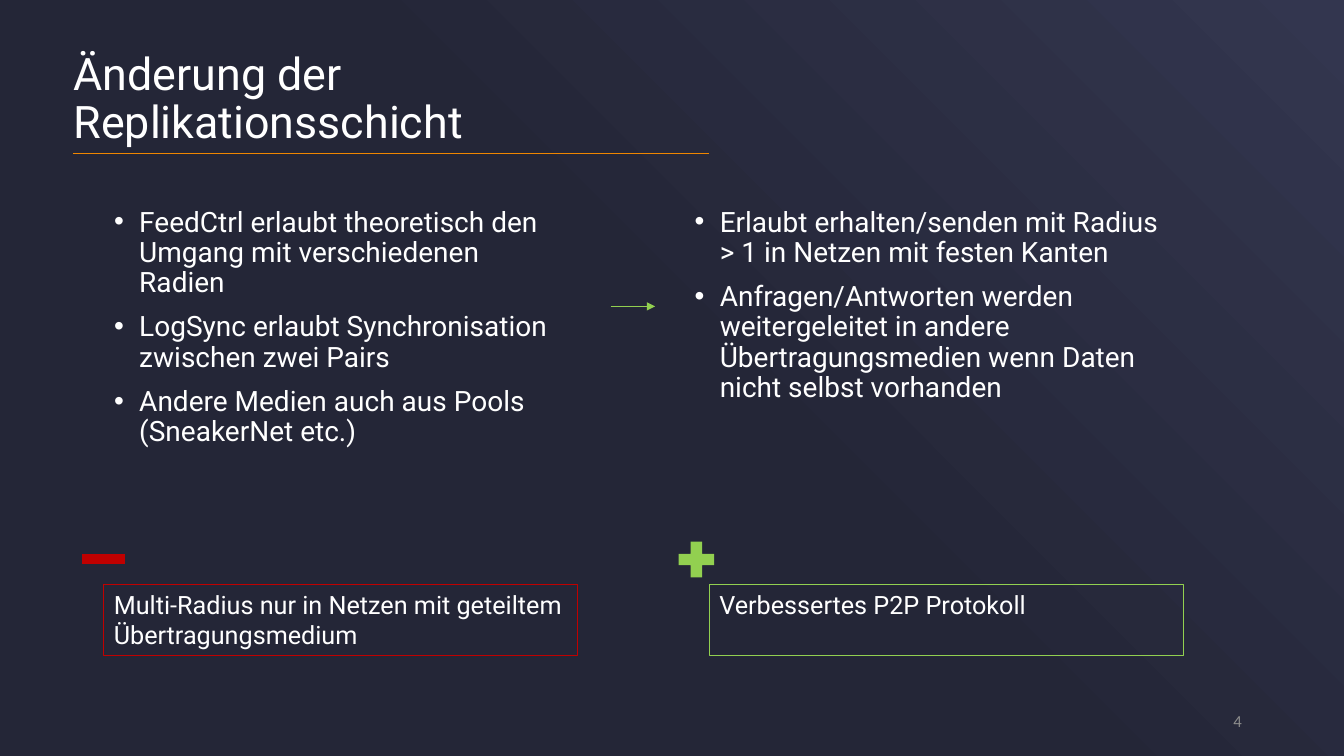
import copy

import pptx
import pptx.dml.color
import pptx.enum.shapes
import pptx.enum.text
import pptx.oxml.xmlchemy
import pptx.util

Cm = pptx.util.Cm
Pt = pptx.util.Pt
RGBColor = pptx.dml.color.RGBColor
OxmlElement = pptx.oxml.xmlchemy.OxmlElement
Shape = pptx.enum.shapes.MSO_SHAPE
Anchor = pptx.enum.text.MSO_ANCHOR
Align = pptx.enum.text.PP_ALIGN

NIGHT = RGBColor(0x24, 0x26, 0x37)
DUSK = RGBColor(0x33, 0x36, 0x4F)
WHITE = RGBColor(0xFF, 0xFF, 0xFF)
GREY = RGBColor(0x8C, 0x8C, 0x8C)
ORANGE = RGBColor(0xEF, 0x86, 0x00)
RED = RGBColor(0xC0, 0x00, 0x00)
GREEN = RGBColor(0x92, 0xD0, 0x50)

TWO_CONTENT_LAYOUT = 3
INSET = 0.25

CURRENT_STATE = [
    "FeedCtrl erlaubt theoretisch den Umgang mit verschiedenen Radien",
    "LogSync erlaubt Synchronisation zwischen zwei Pairs",
    "Andere Medien auch aus Pools (SneakerNet etc.)",
]
NEW_STATE = [
    "Erlaubt erhalten/senden mit Radius > 1 in Netzen mit festen Kanten",
    "Anfragen/Antworten werden weitergeleitet in andere "
    "Übertragungsmedien wenn Daten nicht selbst vorhanden",
]


def place(shape, left, top, width, height):
    shape.left, shape.top = Cm(left), Cm(top)
    shape.width, shape.height = Cm(width), Cm(height)


def format_text(para, size, color=WHITE, font="Roboto", align=Align.LEFT):
    para.alignment = align
    for span in para.runs:
        span.font.name = font
        span.font.size = Pt(size)
        span.font.color.rgb = color


def paint_background(page):
    """Dark up to the middle, then lighter towards the top right corner."""
    fill = page.background.fill
    fill.gradient()
    fill.gradient_angle = 45
    first_stop = page.element.xpath(".//a:gs")[0]
    first_stop.addnext(copy.deepcopy(first_stop))
    stops = [(0, NIGHT), (0.51, NIGHT), (1, DUSK)]
    for stop, (position, color) in zip(fill.gradient_stops, stops):
        stop.position = position
        stop.color.rgb = color


def add_line(page, left, top, length, color):
    line = page.shapes.add_connector(
        pptx.enum.shapes.MSO_CONNECTOR.STRAIGHT,
        Cm(left), Cm(top), Cm(left + length), Cm(top))
    line.line.color.rgb = color
    line.line.width = Pt(0.5)
    line.element.spPr.append(OxmlElement("a:effectLst"))
    return line


def add_arrow(page, left, top, length):
    arrow = add_line(page, left, top, length, GREEN)
    head = OxmlElement("a:tailEnd")
    head.set("type", "triangle")
    arrow.element.xpath("./p:spPr/a:ln")[0].append(head)


def fill_title(page, left, top, width, height):
    title = page.shapes.title
    place(title, left, top, width, height)
    frame = title.text_frame
    frame.text = "Änderung der Replikationsschicht"
    frame.auto_size = pptx.enum.text.MSO_AUTO_SIZE.NONE
    frame.vertical_anchor = Anchor.BOTTOM
    frame.paragraphs[0].line_spacing = 0.9
    format_text(frame.paragraphs[0], 32)
    add_line(page, left + INSET, top + height, 16.03, ORANGE)


def fill_list(body, items, left, top, width, height):
    place(body, left, top, width, height)
    frame = body.text_frame
    frame.text = "\n".join(items)
    frame.auto_size = pptx.enum.text.MSO_AUTO_SIZE.NONE
    frame.vertical_anchor = Anchor.TOP
    for number, para in enumerate(frame.paragraphs):
        properties = para._p.get_or_add_pPr()
        properties.set("marL", str(Pt(18)))
        properties.set("indent", str(Pt(-18)))
        para.line_spacing = 0.9
        para.space_before = Pt(10 if number else 0)
        format_text(para, 20)


def add_sign(page, kind, color, left, top, width, height):
    sign = page.shapes.add_shape(
        kind, Cm(left), Cm(top), Cm(width), Cm(height))
    sign.shadow.inherit = False
    sign.fill.solid()
    sign.fill.fore_color.rgb = color
    sign.line.fill.background()


def add_verdict(page, text, color, left, top, width, height):
    box = page.shapes.add_shape(
        Shape.RECTANGLE, Cm(left), Cm(top), Cm(width), Cm(height))
    box.shadow.inherit = False
    box.fill.background()
    box.line.color.rgb = color
    box.line.width = Pt(0.75)
    frame = box.text_frame
    frame.word_wrap = True
    frame.vertical_anchor = Anchor.TOP
    frame.text = text
    format_text(frame.paragraphs[0], 18)


def add_page_number(page, number, left, top, width, height):
    box = page.shapes.add_textbox(Cm(left), Cm(top), Cm(width), Cm(height))
    frame = box.text_frame
    frame.word_wrap = True
    frame.vertical_anchor = Anchor.MIDDLE
    frame.text = number
    format_text(frame.paragraphs[0], 12, GREY, "Calibri", Align.RIGHT)


def build_comparison_slide(deck):
    page = deck.slides.add_slide(deck.slide_layouts[TWO_CONTENT_LAYOUT])
    paint_background(page)
    fill_title(page, 1.6, 1.45, 16.56, 2.41)
    fill_list(page.placeholders[1], CURRENT_STATE, 2.62, 5.11, 11.94, 10.24)
    fill_list(page.placeholders[2], NEW_STATE, 17.25, 5.11, 12.57, 5.64)
    add_arrow(page, 15.39, 7.72, 1.12)
    add_verdict(page, "Multi-Radius nur in Netzen mit geteiltem Übertragungsmedium",
                RED, 2.62, 14.73, 11.94, 1.8)
    add_sign(page, Shape.MATH_MINUS, RED, 1.88, 13.56, 1.47, 1.04)
    add_verdict(page, "Verbessertes P2P Protokoll",
                GREEN, 17.88, 14.73, 11.94, 1.8)
    add_sign(page, Shape.MATH_PLUS, GREEN, 16.94, 13.49, 1.22, 1.22)
    add_page_number(page, "4", 23.93, 17.65, 7.62, 1.02)


def main():
    deck = pptx.Presentation()
    deck.slide_width, deck.slide_height = Cm(33.87), Cm(19.05)
    build_comparison_slide(deck)
    deck.save("out.pptx")


if __name__ == "__main__":
    main()
